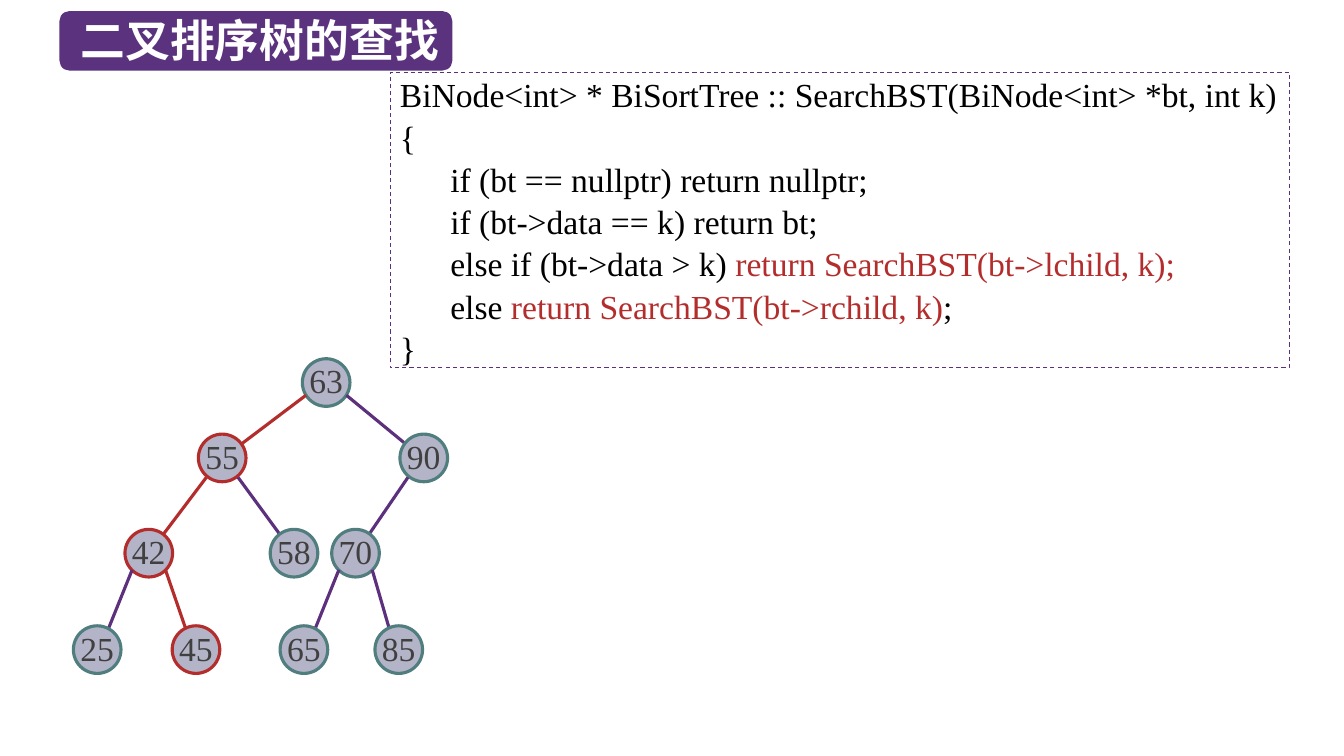
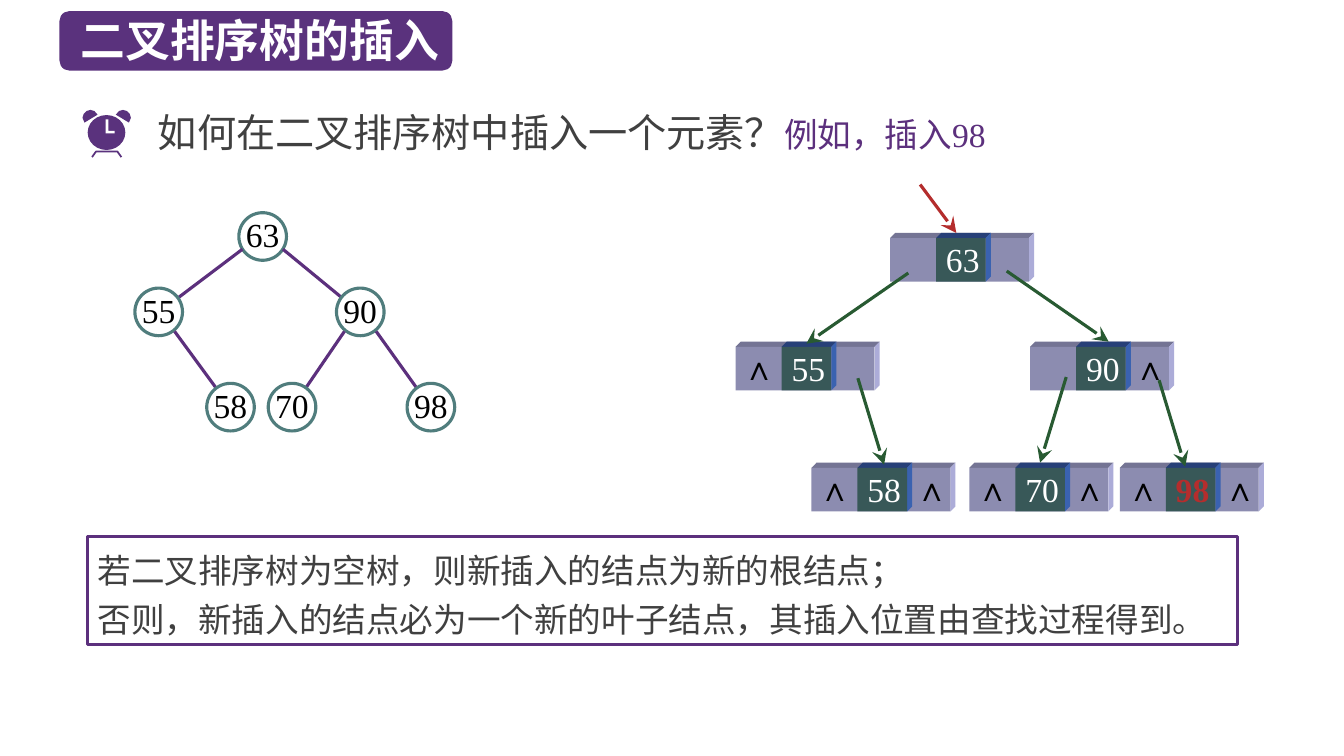
from math import hypot

from lxml import etree
from pptx import Presentation
from pptx.dml.color import RGBColor
from pptx.enum.dml import MSO_LINE
from pptx.enum.shapes import MSO_CONNECTOR, MSO_SHAPE
from pptx.enum.text import MSO_ANCHOR, PP_ALIGN
from pptx.oxml.ns import qn
from pptx.util import Cm, Pt

RECT, ROUND, OVAL = MSO_SHAPE.RECTANGLE, MSO_SHAPE.ROUNDED_RECTANGLE, MSO_SHAPE.OVAL
LINE = MSO_CONNECTOR.STRAIGHT
DASH = MSO_LINE.DASH
LEFT, MID = PP_ALIGN.LEFT, PP_ALIGN.CENTER
TOP, CENTER = MSO_ANCHOR.TOP, MSO_ANCHOR.MIDDLE

HUE = {
    "band": "5A327D", "edge": "5C307D", "white": "FFFFFF", "black": "000000",
    "gray": "404040", "red": "B42D2D", "ring": "507D7D", "disc": "B4B4C8",
    "link": "285A32",
    "cell": "8C8CB0", "cell top": "747494", "cell side": "ACACD8",
    "key": "385858", "key top": "274078", "key side": "3A62B0",
}
SANS, SERIF = "Noto Sans CJK SC", "Times New Roman"
INSET = (0.25, 0.13, 0.25, 0.13)

SIZE = 1.2      # width of a tree node
DEPTH = 0.13    # depth of a raised block
CELL = (3.5, 1.1)
KEY = (1.16, 1.25)

# value: (parent, level, x of the centre from the root's centre)
TREE = {
    63: (None, 0, 0),
    55: (63, 1, -2.62), 90: (63, 1, 2.46),
    42: (55, 2, -4.47), 58: (55, 2, -0.81),
    70: (90, 2, 0.74), 98: (90, 2, 4.24),
    25: (42, 3, -5.77), 45: (42, 3, -3.28),
    65: (70, 3, -0.56), 85: (70, 3, 1.83),
}
DROP = (0, 1.9, 4.3, 6.73)
# where an edge leaves its parent, by the child's level
FOOT = {1: (0.51, 0.32), 2: (0.4, 0.49), 3: (0.42, 0.42)}

# value, left, top, which sides hold a null link
CHAIN = (
    (63, 3.89, 1.35, ""), (55, 0, 4.09, "L"), (90, 7.42, 4.09, "R"),
    (58, 1.91, 7.14, "LR"), (70, 5.89, 7.14, "LR"), (98, 9.68, 7.14, "LR"),
)
LINKS = (
    (4.65, 0, 5.56, 1.22, "red"),
    (4.35, 2.23, 1.78, 4.01, "link"), (6.83, 2.18, 9.4, 3.96, "link"),
    (3.08, 4.88, 3.74, 7.06, "link"), (8.33, 4.85, 7.67, 7.01, "link"),
    (10.67, 4.93, 11.33, 7.11, "link"),
)
NULL = {"L": 0.02, "R": 2.46}

CODE = (
    (0, [("BiNode<int> * BiSortTree :: SearchBST(BiNode<int> *bt, int k)", {})]),
    (0, [("{", {})]),
    (1, [("if (bt == nullptr) return nullptr;", {})]),
    (1, [("if (bt->data == k) return bt;", {})]),
    (1, [("else if (bt->data > k) ", {}),
         ("return SearchBST(bt->lchild, k);", {"color": "red"})]),
    (1, [("else ", {}), ("return SearchBST(bt->rchild, k)", {"color": "red"}),
         (";", {})]),
    (0, [("}", {})]),
)


def rgb(name):
    return RGBColor.from_string(HUE[name])


def paint(shape, fill=None, line=None, width=2.25, dash=None):
    shape.shadow.inherit = False
    if fill:
        shape.fill.solid()
        shape.fill.fore_color.rgb = rgb(fill)
    else:
        shape.fill.background()
    if line:
        shape.line.color.rgb = rgb(line)
        shape.line.width = Pt(width)
        if dash:
            shape.line.dash_style = dash
    else:
        shape.line.fill.background()
    return shape


def box(slide, kind, x, y, w, h, **look):
    return paint(slide.shapes.add_shape(kind, Cm(x), Cm(y), Cm(w), Cm(h)), **look)


def outline(slide, points, close=True, **look):
    spots = [(Cm(x), Cm(y)) for x, y in points]
    path = slide.shapes.build_freeform(*spots[0])
    path.add_line_segments(spots[1:], close=close)
    return paint(path.convert_to_shape(), **look)


def stroke(slide, x1, y1, x2, y2, color, arrow=False):
    line = slide.shapes.add_connector(LINE, Cm(x1), Cm(y1), Cm(x2), Cm(y2))
    line.line.color.rgb = rgb(color)
    line.line.width = Pt(2.25)
    props = line._element.spPr
    if arrow:
        etree.SubElement(props.find(qn("a:ln")), qn("a:tailEnd"),
                         type="stealth", w="lg", len="lg")
    etree.SubElement(props, qn("a:effectLst"))


def write(shape, text, size=24, color="black", font=SERIF, bold=False, align=LEFT,
          anchor=CENTER, inset=INSET, wrap=True, space=None):
    """Fill a shape with a string or with (indent level, [(text, format)]) lines."""
    lines = [(0, [(text, {})])] if isinstance(text, str) else text
    frame = shape.text_frame
    frame.word_wrap = wrap
    frame.vertical_anchor = anchor
    (frame.margin_left, frame.margin_top,
     frame.margin_right, frame.margin_bottom) = [Cm(side) for side in inset]
    for n, (level, runs) in enumerate(lines):
        para = frame.add_paragraph() if n else frame.paragraphs[0]
        para.alignment = align
        if space:
            para.line_spacing = space
        if level:
            para._p.get_or_add_pPr().set("marL", str(Cm(1.27 * level)))
        for words, look in runs:
            run = para.add_run()
            run.text = words
            run.font.size = Pt(look.get("size", size))
            run.font.bold = bold
            run.font.color.rgb = rgb(look.get("color", color))
            run.font.name = font
            etree.SubElement(run._r.get_or_add_rPr(), qn("a:ea"), typeface=SANS)


def label(slide, text, x, y, w, h, **form):
    write(slide.shapes.add_textbox(Cm(x), Cm(y), Cm(w), Cm(h)), text, **form)


def title(slide, text, x=1.5, y=0.28):
    box(slide, ROUND, x, y, 9.9, 1.5, fill="band")
    label(slide, text, x + 0.28, y - 0.1, 9.63, 1.63, size=32, color="white",
          font=SANS, bold=True, wrap=False)


def tree(slide, x, y, values, fill=None, color="black", trail=()):
    """Draw a tree whose root is centred on x, y; nodes in trail are red."""
    half = SIZE / 2
    for value in values:
        parent, level, dx = TREE[value]
        cx, cy = x + dx, y + DROP[level]
        if parent:
            above = TREE[parent]
            px, py = x + above[2], y + DROP[above[1]]
            gap = hypot(cx - px, cy - py)
            fx, fy = FOOT[level]
            stroke(slide, px + (fx if cx > px else -fx), py + fy,
                   cx - (cx - px) / gap * half, cy - (cy - py) / gap * half,
                   "red" if value in trail else "edge")
        node = box(slide, OVAL, cx - half, cy - half, SIZE, SIZE, fill=fill,
                   line="red" if value in trail else "ring")
        write(node, str(value), color=color, align=MID, inset=(0, 0, 0, 0),
              wrap=False, space=Pt(26))


def block(slide, x, y, w, h, hue):
    """Draw a raised block and return its front face."""
    d = DEPTH
    outline(slide, [(x, y), (x + d, y - d), (x + w + d, y - d), (x + w, y)],
            fill=hue + " top")
    outline(slide, [(x + w, y), (x + w + d, y - d), (x + w + d, y + h - d),
                    (x + w, y + h)], fill=hue + " side")
    return box(slide, RECT, x, y, w, h, fill=hue)


def chain(slide, x, y, fresh):
    """Draw the linked nodes; the value fresh is the new one."""
    wide, high = CELL
    for value, dx, dy, nulls in CHAIN:
        left, top = x + dx, y + dy
        block(slide, left, top, wide, high, "cell")
        face = block(slide, left + KEY[0], top, KEY[1], high, "key")
        new = value == fresh
        write(face, str(value), color="red" if new else "white", bold=new,
              inset=(0.25, 0, 0.05, 0.03), wrap=False)
        for side in nulls:
            label(slide, "∧", left + NULL[side], top - 0.03, 1.16, 1.02, bold=True,
                  anchor=TOP, inset=(0.15, 0.03, 0.05, 0.03), wrap=False)
    for x1, y1, x2, y2, color in LINKS:
        stroke(slide, x + x1, y + y1, x + x2, y + y2, color, arrow=True)


def clock(slide, x, y, w=1.22):
    def shift(points):
        return [(x + px, y + py) for px, py in points]

    ear = [(0.05, 0.32), (0, 0.2), (0.03, 0.1), (0.1, 0.03), (0.2, 0), (0.3, 0.03),
           (0.38, 0.12)]
    for side in (ear, [(w - px, py) for px, py in ear]):
        outline(slide, shift(side), fill="band")
    box(slide, OVAL, x + 0.13, y + 0.13, 0.95, 0.88, fill="band")
    hands = [(0.58, 0.24), (0.65, 0.24), (0.65, 0.53), (0.81, 0.53), (0.81, 0.59),
             (0.58, 0.59)]
    outline(slide, shift(hands), fill="white")
    legs = [(0.24, 1.19), (0.34, 1.05), (w - 0.34, 1.05), (w - 0.24, 1.19)]
    outline(slide, shift(legs), close=False, line="band", width=1.25)


def search(slide):
    title(slide, "二叉排序树的查找")
    tree(slide, 8.22, 9.64, [v for v in TREE if v != 98], fill="disc",
         color="gray", trail=(55, 42, 45))
    frame = box(slide, RECT, 9.83, 1.83, 22.66, 7.44, line="edge", width=0.75,
                dash=DASH)
    write(frame, CODE, inset=(0.25, 0.13, 0, 0.13), space=1.05)


def insert(slide):
    title(slide, "二叉排序树的插入")
    clock(slide, 2.08, 2.77)
    ask = [("如何在二叉排序树中插入一个元素？", {"size": 28}),
           ("例如，插入98", {"color": "edge"})]
    label(slide, [(0, ask)], 3.73, 2.6, 23.62, 1.45, color="gray")
    tree(slide, 6.62, 5.96, (63, 55, 90, 58, 70, 98))
    chain(slide, 18.54, 4.65, 98)
    rule = [(0, [("若二叉排序树为空树，则新插入的结点为新的根结点；", {})]),
            (0, [("否则，新插入的结点必为一个新的叶子结点，其插入位置由查找过程得到。", {})])]
    frame = box(slide, RECT, 2.21, 13.51, 28.98, 2.74, line="edge")
    write(frame, rule, color="gray", space=Pt(35))


def main():
    deck = Presentation()
    deck.slide_width, deck.slide_height = Cm(33.87), Cm(19.05)
    for build in (search, insert):
        build(deck.slides.add_slide(deck.slide_layouts[6]))
    deck.save("out.pptx")


if __name__ == "__main__":
    main()
